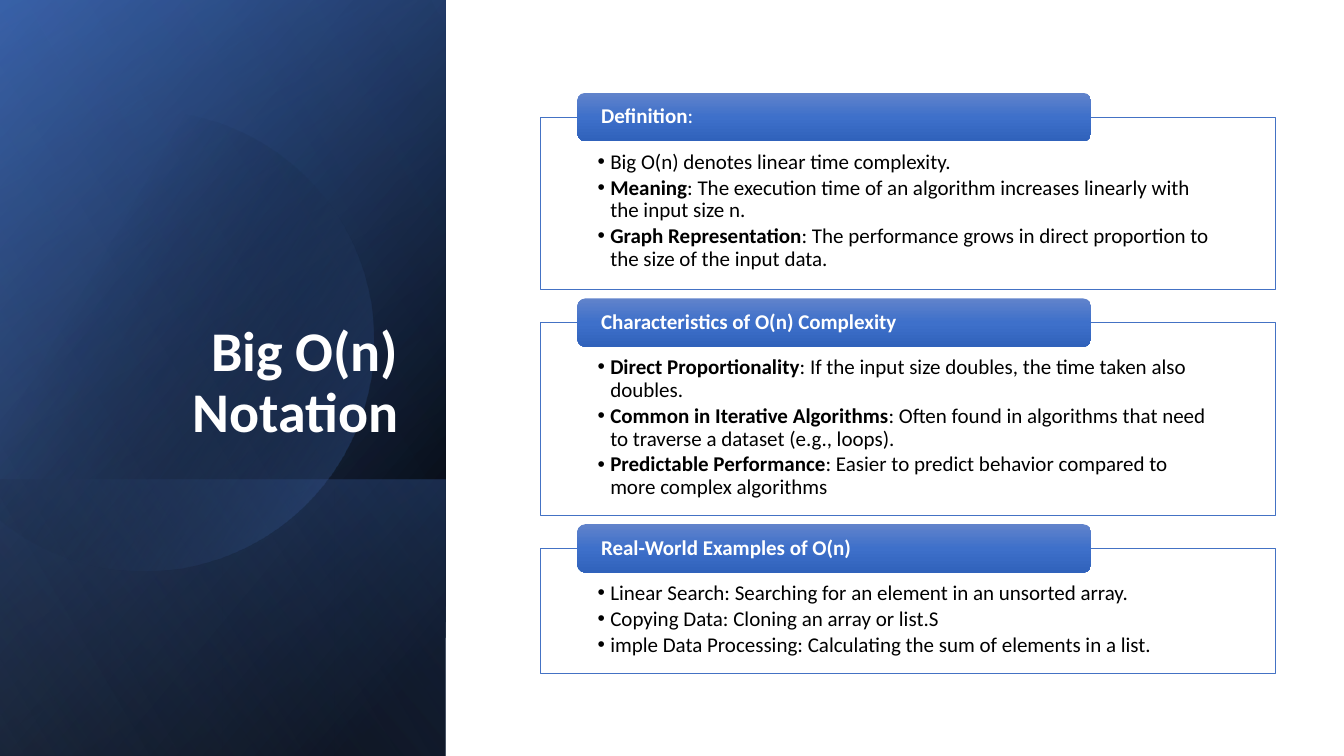
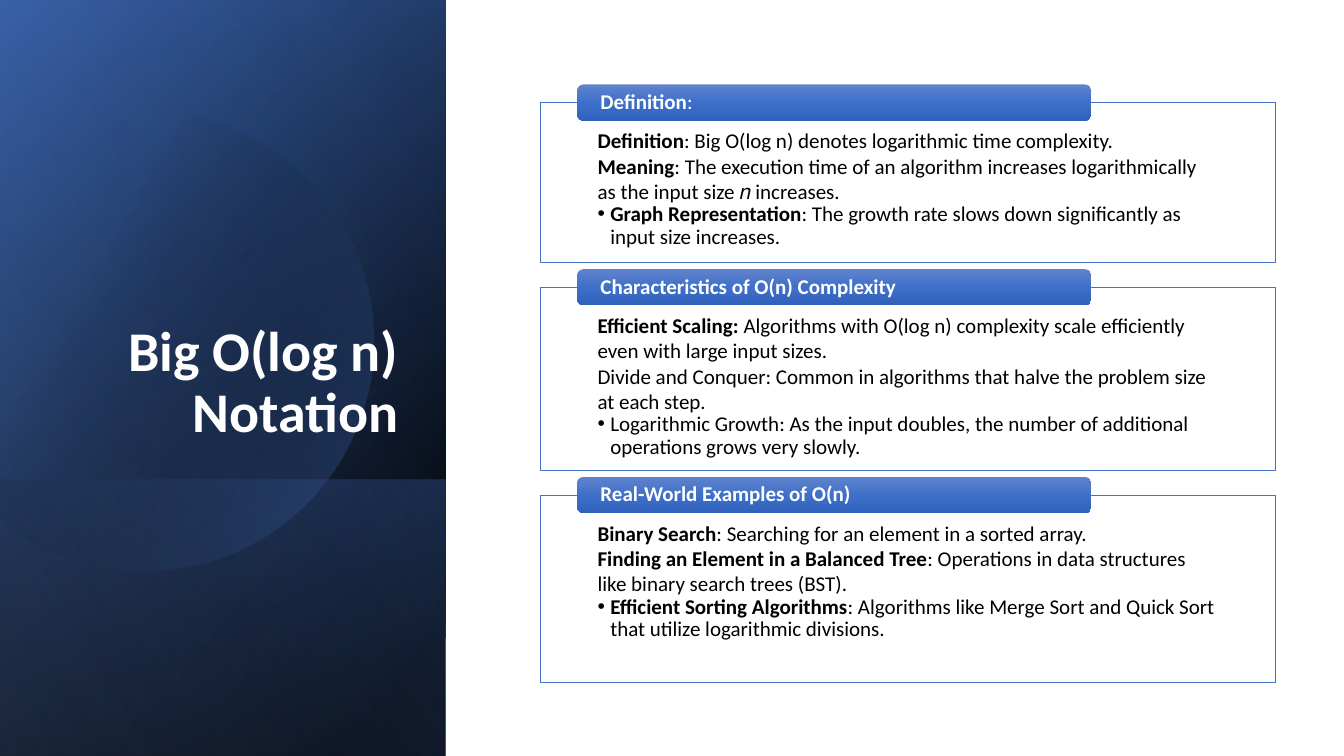
"""Build two slides on Big O notation, each with a dark title band and three panels."""
from math import cos, radians, sin

from lxml import etree
from pptx import Presentation
from pptx.dml.color import RGBColor
from pptx.enum.shapes import MSO_SHAPE
from pptx.enum.text import MSO_ANCHOR, MSO_AUTO_SIZE, PP_ALIGN
from pptx.oxml.ns import qn
from pptx.util import Cm, Pt

RECTANGLE = MSO_SHAPE.RECTANGLE
ROUNDED = MSO_SHAPE.ROUNDED_RECTANGLE
TOP, MIDDLE, BOTTOM = MSO_ANCHOR.TOP, MSO_ANCHOR.MIDDLE, MSO_ANCHOR.BOTTOM
LEFT, RIGHT = PP_ALIGN.LEFT, PP_ALIGN.RIGHT
NO_AUTOFIT = MSO_AUTO_SIZE.NONE

FONT = "Calibri"
COLORS = {
    "black": "000000", "white": "FFFFFF", "navy": "2F5597", "blue": "4472C4",
    "pale": "8FAADC", "head_top": "6183CB", "head_mid": "3E70CA", "head_low": "3062BB",
}

FULL_BAND = (-3.91, 3.91, 19.05, 11.23)
LOWER_BAND = (2.13, 9.96, 6.96, 11.23)
BASE_LAYERS = [
    (FULL_BAND, 50, [(8, "black", 100), (100, "navy", 100)]),
    (FULL_BAND, 30, [(0, "black", 0), (99, "blue", 46)]),
    (LOWER_BAND, 130, [(2, "blue", 29), (100, "black", 30)]),
]
TOP_LAYERS = [(FULL_BAND, 120, [(0, "black", 0), (99, "pale", 11)])]
CIRCLE_STOPS = [(29, "black", 0), (100, "blue", 43)]
HEADER_STOPS = [(0, "head_top", 100), (50, "head_mid", 100), (100, "head_low", 100)]
CIRCLE_X, CIRCLE_Y, CIRCLE_RADIUS = 3.63, 8.59, 5.79

PAGES = [
    {
        "title": "Big O(n) Notation",
        "top": 2.34, "header_height": 1.22, "gap": 0.23, "inset_top": 0.86, "first_bullet": 0,
        "sections": [
            (("Definition", ":"), 4.34, [
                ("", "Big O(n) denotes linear time complexity."),
                ("Meaning", ": The execution time of an algorithm increases linearly with the input size n."),
                ("Graph Representation", ": The performance grows in direct proportion to the size of the input data."),
            ]),
            (("Characteristics of O(n) Complexity", ""), 4.85, [
                ("Direct Proportionality", ": If the input size doubles, the time taken also doubles."),
                ("Common in Iterative Algorithms", ": Often found in algorithms that need to traverse a dataset (e.g., loops)."),
                ("Predictable Performance", ": Easier to predict behavior compared to more complex algorithms"),
            ]),
            (("Real-World Examples of O(n)", ""), 3.15, [
                ("", "Linear Search: Searching for an element in an unsorted array."),
                ("", "Copying Data: Cloning an array or list.S"),
                ("", "imple Data Processing: Calculating the sum of elements in a list."),
            ]),
        ],
    },
    {
        "title": "Big O(log n) Notation",
        "top": 2.13, "header_height": 0.91, "gap": 0.16, "inset_top": 0.64, "first_bullet": 2,
        "sections": [
            (("Definition", ":"), 4.04, [
                ("Definition", ": Big O(log n) denotes logarithmic time complexity."),
                ("Meaning", ": The execution time of an algorithm increases logarithmically as the input size 𝑛 increases."),
                ("Graph Representation", ": The growth rate slows down significantly as input size increases."),
            ]),
            (("Characteristics of O(n) Complexity", ""), 4.62, [
                ("Efficient Scaling: ", "Algorithms with O(log n) complexity scale efficiently even with large input sizes."),
                ("", "Divide and Conquer: Common in algorithms that halve the problem size at each step."),
                ("", "Logarithmic Growth: As the input doubles, the number of additional operations grows very slowly."),
            ]),
            (("Real-World Examples of O(n)", ""), 4.72, [
                ("Binary Search", ": Searching for an element in a sorted array."),
                ("Finding an Element in a Balanced Tree", ": Operations in data structures like binary search trees (BST)."),
                ("Efficient Sorting Algorithms", ": Algorithms like Merge Sort and Quick Sort that utilize logarithmic divisions."),
            ]),
        ],
    },
]


def paint_gradient(shape, angle, stops):
    shape.shadow.inherit = False
    shape.line.fill.background()
    shape.fill.gradient()
    gradient = shape._element.spPr.find(qn("a:gradFill"))
    gradient.find(qn("a:lin")).set("ang", str(angle * 60000))
    stop_list = gradient.find(qn("a:gsLst"))
    for old_stop in list(stop_list):
        stop_list.remove(old_stop)
    for position, color, opacity in stops:
        stop = etree.SubElement(stop_list, qn("a:gs"), pos=str(position * 1000))
        tint = etree.SubElement(stop, qn("a:srgbClr"), val=COLORS[color])
        if opacity < 100:
            etree.SubElement(tint, qn("a:alpha"), val=str(opacity * 1000))


def write_spans(para, spans, size, color, align=LEFT):
    para.alignment = align
    para.line_spacing = 0.9
    for text, bold in spans:
        if text:
            span = para.add_run()
            span.text = text
            span.font.name = FONT
            span.font.size = Pt(size)
            span.font.bold = bold
            span.font.color.rgb = RGBColor.from_string(COLORS[color])


deck = Presentation()
deck.slide_width, deck.slide_height = Cm(33.87), Cm(19.05)
title_only = deck.slide_layouts[5]

for content in PAGES:
    page = deck.slides.add_slide(title_only)
    title = page.shapes.title

    for layers in (BASE_LAYERS, TOP_LAYERS):
        if layers is TOP_LAYERS:
            arc = [(CIRCLE_X + CIRCLE_RADIUS * cos(radians(turn)),
                    CIRCLE_Y + CIRCLE_RADIUS * sin(radians(turn))) for turn in range(-129, 130, 3)]
            points = [(Cm(x), Cm(y)) for x, y in arc]
            builder = page.shapes.build_freeform(*points[0])
            builder.add_line_segments(points[1:], close=True)
            paint_gradient(builder.convert_to_shape(), 30, CIRCLE_STOPS)
        for place, angle, stops in layers:
            band = page.shapes.add_shape(RECTANGLE, *map(Cm, place))
            band.rotation = 90
            band._element.spPr.find(qn("a:xfrm")).set("flipH", "1")
            paint_gradient(band, angle, stops)

    page.shapes._spTree.append(title._element)
    title.left, title.top, title.width, title.height = map(Cm, (1.63, 4.67, 8.66, 6.65))
    title.text_frame.auto_size = NO_AUTOFIT
    title.text_frame.vertical_anchor = BOTTOM
    write_spans(title.text_frame.paragraphs[0], [(content["title"], True)], 40, "white", RIGHT)

    header_top = content["top"]
    header_height = content["header_height"]
    for (heading, heading_tail), panel_height, items in content["sections"]:
        panel_top = header_top + header_height / 2
        panel = page.shapes.add_shape(RECTANGLE, Cm(13.61), Cm(panel_top), Cm(18.52), Cm(panel_height))
        panel.shadow.inherit = False
        panel.fill.solid()
        panel.fill.fore_color.rgb = RGBColor.from_string(COLORS["white"])
        panel.line.color.rgb = RGBColor.from_string(COLORS["blue"])
        panel.line.width = Pt(0.5)
        box = panel.text_frame
        box.word_wrap = True
        box.vertical_anchor = TOP
        box.margin_left = box.margin_right = Cm(1.45)
        box.margin_top, box.margin_bottom = Cm(content["inset_top"]), Cm(0.3)
        for index, (lead, rest) in enumerate(items):
            para = box.paragraphs[0] if index == 0 else box.add_paragraph()
            write_spans(para, [(lead, True), (rest, False)], 15, "black")
            if index < content["first_bullet"]:
                para.line_spacing = 1.0
            else:
                para.space_after = Pt(2.25)
                properties = para._p.get_or_add_pPr()
                properties.set("marL", str(Cm(0.32)))
                properties.set("indent", str(-Cm(0.32)))
                etree.SubElement(properties, qn("a:buFont"), typeface="Arial")
                etree.SubElement(properties, qn("a:buChar"), char="•")

        header = page.shapes.add_shape(ROUNDED, Cm(14.55), Cm(header_top), Cm(12.95), Cm(header_height))
        paint_gradient(header, 90, HEADER_STOPS)
        box = header.text_frame
        box.word_wrap = True
        box.vertical_anchor = MIDDLE
        box.margin_left = box.margin_right = Cm(0.54)
        box.margin_top = box.margin_bottom = Cm(0)
        write_spans(box.paragraphs[0], [(heading, True), (heading_tail, False)], 15, "white")

        header_top = panel_top + panel_height + content["gap"]

deck.save("out.pptx")
